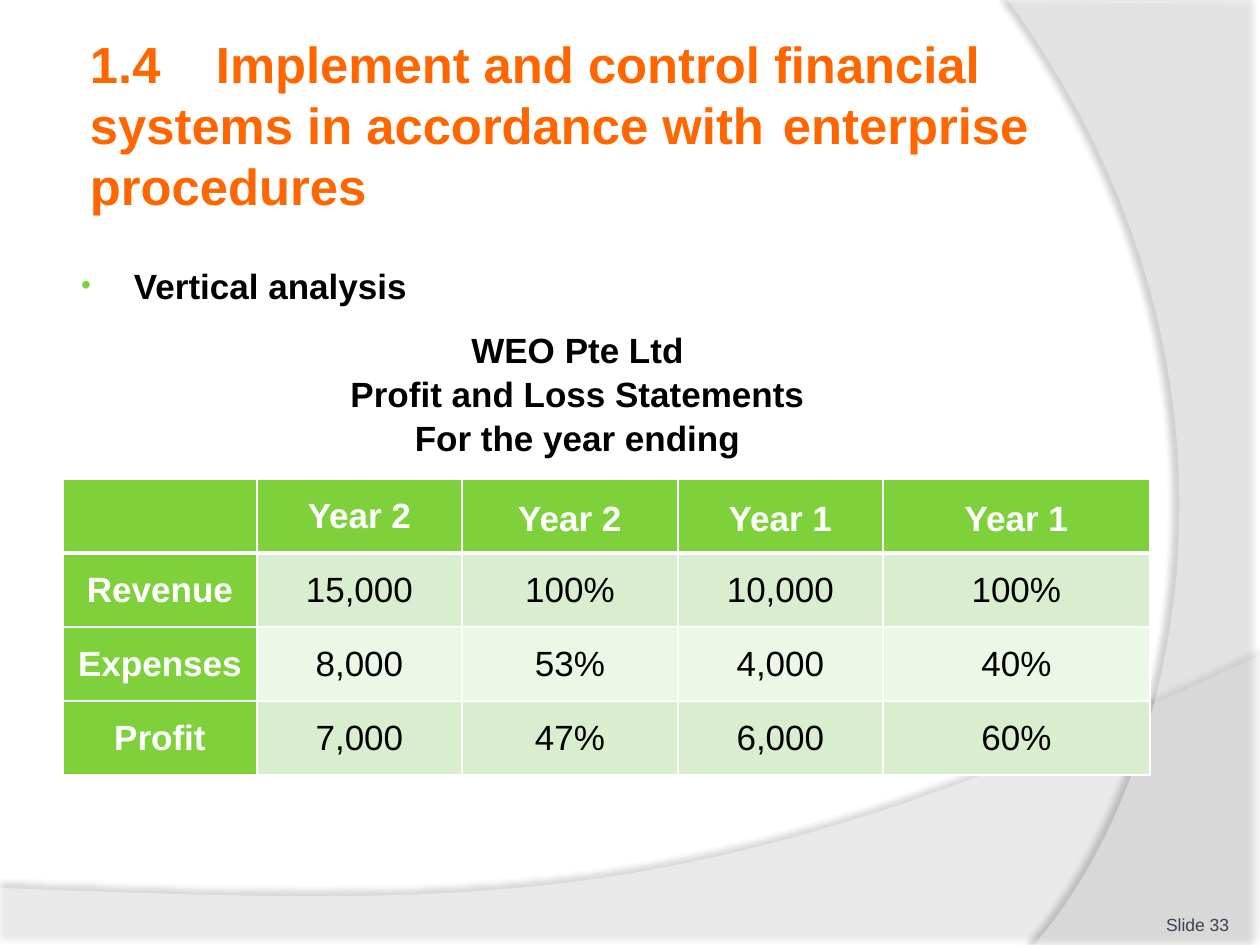
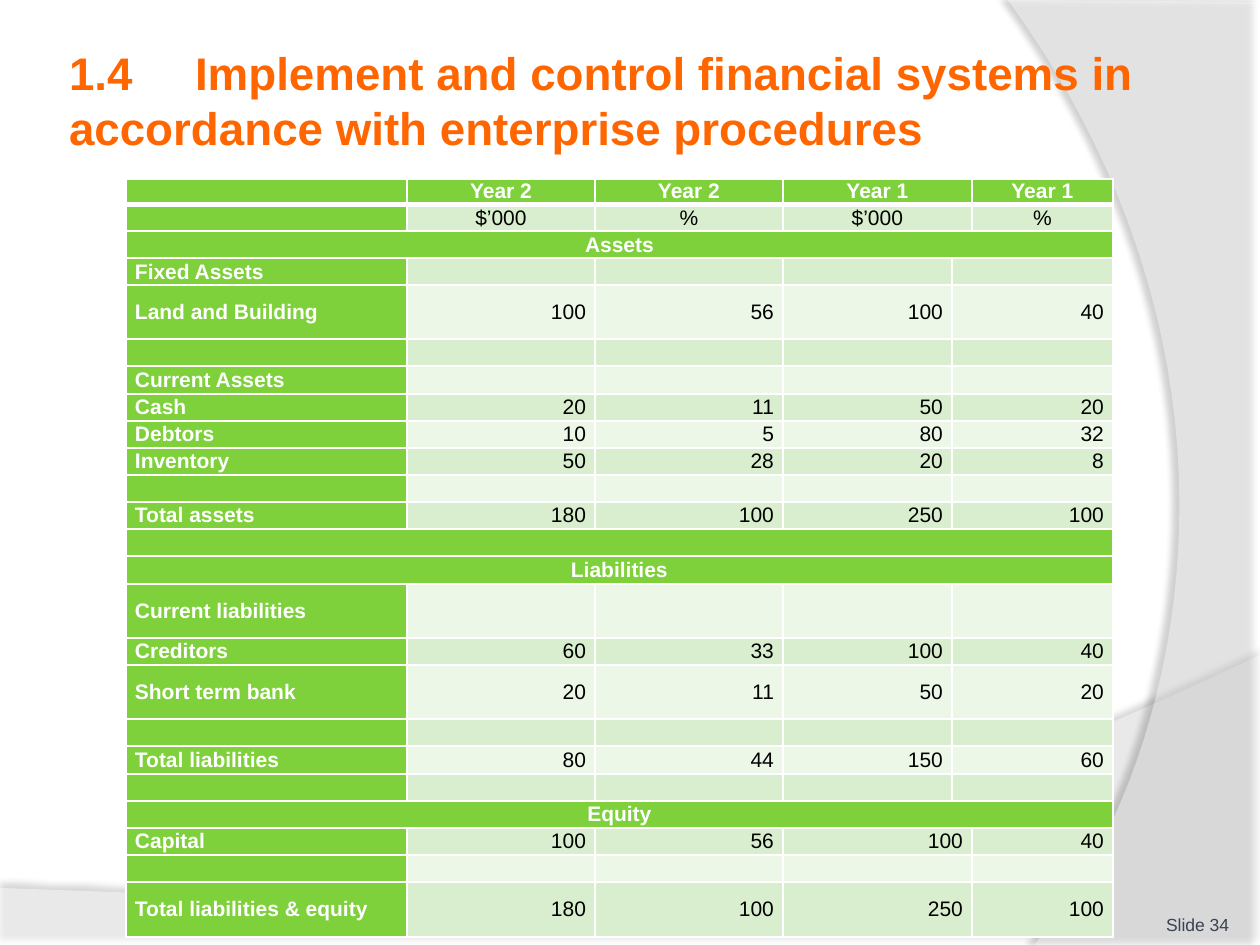
"""Build two slides on vertical analysis of financial statements."""
from itertools import accumulate

from lxml import etree
from pptx import Presentation, util as u
from pptx.dml.color import RGBColor
from pptx.enum import text
from pptx.oxml import ns

SCALE = 914400 / 126
FONT = "Arial"
ORANGE = RGBColor(0xFF, 0x66, 0x00)
GREEN = RGBColor(0x7F, 0xD1, 0x3B)
MID_GREEN = RGBColor(0xD8, 0xEE, 0xCE)
PALE_GREEN = RGBColor(0xEC, 0xF7, 0xE8)
SLATE = RGBColor(0x3A, 0x43, 0x52)
WHITE = RGBColor(0xFF, 0xFF, 0xFF)
BLACK = RGBColor(0, 0, 0)
LEFT, CENTER, RIGHT = (text.PP_ALIGN.LEFT, text.PP_ALIGN.CENTER,
                       text.PP_ALIGN.RIGHT)
MIDDLE, BOTTOM = text.MSO_ANCHOR.MIDDLE, text.MSO_ANCHOR.BOTTOM

PROFIT_LOSS = [
    ["", "Year 2", "Year 2", "Year 1", "Year 1"],
    ["Revenue", "15,000", "100%", "10,000", "100%"],
    ["Expenses", "8,000", "53%", "4,000", "40%"],
    ["Profit", "7,000", "47%", "6,000", "60%"],
]
BLANK = [""] * 5
BALANCE = [
    ["", "Year 2", "Year 2", "Year 1", "Year 1"],
    ["", "$’000", "%", "$’000", "%"],
    ["Assets"],
    ["Fixed Assets", "", "", "", ""],
    ["Land and Building", "100", "56", "100", "40"],
    BLANK,
    ["Current Assets", "", "", "", ""],
    ["Cash", "20", "11", "50", "20"],
    ["Debtors", "10", "5", "80", "32"],
    ["Inventory", "50", "28", "20", "8"],
    BLANK,
    ["Total assets", "180", "100", "250", "100"],
    [""],
    ["Liabilities"],
    ["Current liabilities", "", "", "", ""],
    ["Creditors", "60", "33", "100", "40"],
    ["Short term bank", "20", "11", "50", "20"],
    BLANK,
    ["Total liabilities", "80", "44", "150", "60"],
    BLANK,
    ["Equity"],
    ["Capital", "100", "56", "100", "40"],
    BLANK,
    ["Total liabilities & equity", "180", "100", "250", "100"],
]
TALL_ROWS = {4, 14, 16, 23}
WIDE_YEAR_ROWS = {0, 1, 21, 22, 23}


def px(n):
    """Turn px into EMU."""
    return u.Emu(round(n * SCALE))


def apply(obj, **values):
    """Set attributes from format values."""
    for name, value in values.items():
        setattr(obj, name, value)


def child(parent, tag, **attrs):
    """Append a DrawingML element."""
    return etree.SubElement(parent, ns.qn(f"a:{tag}"), attrs)


def add_run(p, words, size, color, bold=False):
    """Add a formatted run to a paragraph."""
    r = p.add_run()
    r.text = words
    apply(r.font, name=FONT, size=u.Pt(size), bold=bold)
    r.font.color.rgb = color


def add_box(s, box, inset, anchor):
    """Add a wrapping text box and return its frame."""
    tf = s.shapes.add_textbox(*map(px, box)).text_frame
    apply(tf, word_wrap=True, vertical_anchor=anchor)
    for side in ("left", "top", "right", "bottom"):
        setattr(tf, f"margin_{side}", px(inset))
    return tf


def curve(p0, p1, p2, p3, steps=40):
    """Return points along a cubic curve, after its start."""
    return [tuple((1 - t) ** 3 * a + 3 * (1 - t) ** 2 * t * b
                  + 3 * (1 - t) * t ** 2 * c + t ** 3 * d
                  for a, b, c, d in zip(p0, p1, p2, p3))
            for t in (i / steps for i in range(1, steps + 1))]


def add_swoosh(s, points, opacity, shade, distance, angle):
    """Draw a translucent outline with a soft shadow."""
    points = [(px(x), px(y)) for x, y in points]
    fb = s.shapes.build_freeform(*points[0])
    fb.add_line_segments(points[1:])
    sp = fb.convert_to_shape()
    sp.fill.solid()
    sp.fill.fore_color.rgb = WHITE
    sp.line.fill.background()
    sp.shadow.inherit = False
    pr = sp._element.spPr
    child(pr.find(ns.qn("a:solidFill"))[0], "alpha", val=str(opacity * 1000))
    shadow = child(pr.find(ns.qn("a:effectLst")), "outerShdw",
                   blurRad=str(u.Pt(4)), dist=str(u.Pt(distance)),
                   dir=str(angle * 60000), rotWithShape="0")
    color = child(shadow, "srgbClr", val=str(BLACK))
    child(color, "alpha", val=str(shade * 1000))


def add_backdrop(s):
    """Draw the two sweeping bands."""
    floor = [(0, 888), (0, 946), (1260, 946), (1260, 655)]
    floor += curve(floor[-1], (704, 919), (493, 906), floor[0])
    add_swoosh(s, floor, 45, 35, 3.5, 270)
    side = [(1260, 2), (1260, 945), (1034, 945)]
    side += curve(side[-1], (1178, 780), (1283, 378), (1008, 0))
    add_swoosh(s, side + side[:1], 40, 45, 4, 180)


def add_title(s, box, words, size):
    """Add the orange slide title."""
    tf = add_box(s, box, 6, MIDDLE)
    add_run(tf.paragraphs[0], words, size, ORANGE, True)


def add_footer(s, number):
    """Add the slide number."""
    p = add_box(s, (1124, 885, 105, 50), 0, BOTTOM).paragraphs[0]
    p.alignment = RIGHT
    add_run(p, f"Slide {number}", 10, SLATE)


def add_heading(s):
    """Add the bulleted topic and the statement heading."""
    tf = add_box(s, (63, 258, 1029, 624), 6, text.MSO_ANCHOR.TOP)
    for side in ("left", "right"):
        setattr(tf, f"margin_{side}", px(13))
    p = tf.paragraphs[0]
    pr = p._p.get_or_add_pPr()
    pr.set("marL", str(px(58)))
    pr.set("indent", str(px(-53)))
    child(child(pr, "buClr"), "srgbClr", val=str(GREEN))
    child(pr, "buSzPct", val="80000")
    child(pr, "buFont", typeface=FONT)
    child(pr, "buChar", char="•")
    p.space_after = u.Pt(12)
    add_run(p, "Vertical analysis", 20, BLACK, True)
    for line in ("WEO Pte Ltd", "Profit and Loss Statements",
                 "For the year ending"):
        p = tf.add_paragraph()
        apply(p, alignment=CENTER, space_before=u.Pt(1))
        add_run(p, line, 20, BLACK, True)


def add_borders(cell, bottom):
    """Give a cell white borders."""
    pr = cell._tc.get_or_add_tcPr()
    for side, width in (("L", 1), ("R", 1), ("T", 1), ("B", bottom)):
        ln = child(pr, f"ln{side}", w=str(u.Pt(width)))
        child(child(ln, "solidFill"), "srgbClr", val=str(WHITE))


def fill_cell(cell, words, row, col, size, align):
    """Style one cell by its place and write its text."""
    strong = row == 0 or col == 0
    add_borders(cell, 3 if row == 0 else 1)
    cell.fill.solid()
    cell.fill.fore_color.rgb = (GREEN if strong else
                                MID_GREEN if row % 2 else PALE_GREEN)
    apply(cell, margin_left=px(9), margin_right=px(9), margin_top=0,
          margin_bottom=0, vertical_anchor=MIDDLE)
    p = cell.text_frame.paragraphs[0]
    p.alignment = align
    if words:
        add_run(p, words, size, WHITE if strong else BLACK, strong)
    else:
        child(p._p, "endParaRPr", sz=str(size * 100))


def add_grid(s, corner, cols, heights, rows, size, align):
    """Add a table; align gives the alignment for a row and column."""
    table = s.shapes.add_table(len(rows), len(cols), *map(
        px, (*corner, sum(cols), sum(heights)))).table
    for column, width in zip(table.columns, cols):
        column.width = px(width)
    for line, height in zip(table.rows, heights):
        line.height = px(height)
    for i, row in enumerate(rows):
        for j, words in enumerate(row):
            fill_cell(table.cell(i, j), words, i, j, size, align(i, j))
    return table


def add_profit_loss(s):
    """Add the profit and loss table."""
    table = add_grid(s, (63, 479), [194, 205, 216, 205, 267], [74] * 4,
                     PROFIT_LOSS, 20, lambda i, j: CENTER)
    for j in range(2, 5):
        table.cell(0, j).text_frame.paragraphs[0].line_spacing = 1.15


def balance_align(i, j):
    """Return the alignment of a balance sheet cell."""
    if i < 2 or len(BALANCE[i]) == 1:
        return CENTER
    return RIGHT if j else LEFT


def add_balance(s):
    """Add the balance sheet with its merged cells."""
    units = [2 if i in TALL_ROWS else 1 for i in range(1, len(BALANCE))]
    edges = [733 * n // sum(units) for n in accumulate(units, initial=0)]
    heights = [24] + [b - a for a, b in zip(edges, edges[1:])]
    rows, spans = [], []
    for i, row in enumerate(BALANCE):
        if len(row) == 1:
            rows.append(row + [""] * 5)
            spans.append((0, 5))
        elif i in WIDE_YEAR_ROWS:
            rows.append(row[:4] + [""] + row[4:])
            spans.append((3, 4))
        else:
            rows.append(row + [""])
            spans.append((4, 5))
    table = add_grid(s, (126, 179), [281, 188, 188, 169, 20, 141], heights,
                     rows, 12, balance_align)
    for i, (first, last) in enumerate(spans):
        table.cell(i, first).merge(table.cell(i, last))


def main():
    """Build and save both slides."""
    prs = Presentation()
    apply(prs, slide_width=px(1260), slide_height=px(945))
    profit, balance = (prs.slides.add_slide(prs.slide_layouts[6])
                       for _ in range(2))

    add_backdrop(profit)
    add_heading(profit)
    add_profit_loss(profit)
    add_title(profit, (84, 45, 1029, 158),
              "1.4\tImplement and control financial \tsystems in accordance "
              "with \tenterprise procedures", 29)
    add_footer(profit, 33)

    add_backdrop(balance)
    add_title(balance, (63, 21, 1103, 158),
              "1.4\tImplement and control financial systems in \taccordance "
              "with enterprise procedures", 26.1)
    add_balance(balance)
    add_footer(balance, 34)
    prs.save("out.pptx")


if __name__ == "__main__":
    main()
